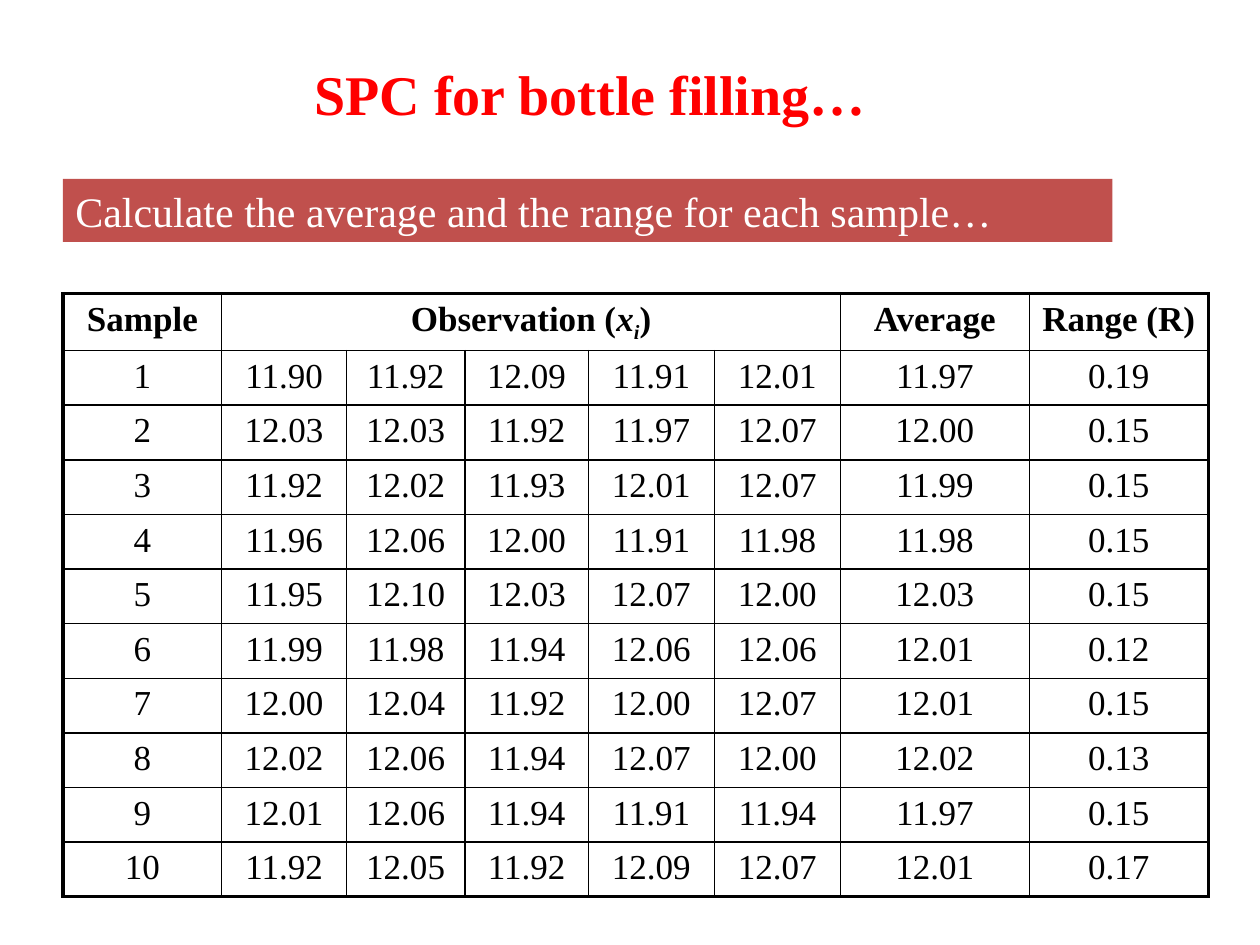
from lxml.etree import SubElement
from pptx import Presentation
from pptx.dml.color import RGBColor
from pptx.enum.shapes import MSO_SHAPE
from pptx.enum.text import MSO_ANCHOR, MSO_AUTO_SIZE, PP_ALIGN
from pptx.oxml.ns import qn
from pptx.util import Inches, Pt

# Content
TITLE = " SPC for bottle filling…"
TASK = "Calculate the average and the range for each sample…"
# Column number -> runs of (text, extra format, baseline)
HEADS = {
    0: [("Sample", {}, 0)],
    1: [("Observation (", {}, 0), ("x", {"italic": True}, 0),
        ("i", {"italic": True}, -25000), (")", {}, 0)],
    6: [("Average", {}, 0)],
    7: [("Range (R)", {}, 0)],
}
# Five observations, average, range
ROWS = [
    ("11.90", "11.92", "12.09", "11.91", "12.01", "11.97", "0.19"),
    ("12.03", "12.03", "11.92", "11.97", "12.07", "12.00", "0.15"),
    ("11.92", "12.02", "11.93", "12.01", "12.07", "11.99", "0.15"),
    ("11.96", "12.06", "12.00", "11.91", "11.98", "11.98", "0.15"),
    ("11.95", "12.10", "12.03", "12.07", "12.00", "12.03", "0.15"),
    ("11.99", "11.98", "11.94", "12.06", "12.06", "12.01", "0.12"),
    ("12.00", "12.04", "11.92", "12.00", "12.07", "12.01", "0.15"),
    ("12.02", "12.06", "11.94", "12.07", "12.00", "12.02", "0.13"),
    ("12.01", "12.06", "11.94", "11.91", "11.94", "11.97", "0.15"),
    ("11.92", "12.05", "11.92", "12.09", "12.07", "12.01", "0.17"),
]
WIDTHS = [1.26, 0.99, 0.94, 0.98, 1, 1, 1.5, 1.42]
HIGH = 4.77

# Formats
FACE = "Times New Roman"
HEAD = {"name": FACE, "size": Pt(32), "bold": True}
NOTE = {"name": FACE, "size": Pt(24)}
CELL = {"name": FACE, "size": Pt(20), "bold": False}
THIN, THICK = Pt(1), Pt(2.25)


def paint(target, code):
    target.rgb = RGBColor.from_string(code)


def write(para, text, form, code, base=0):
    run = para.add_run()
    run.text = text
    for name, value in form.items():
        setattr(run.font, name, value)
    paint(run.font.color, code)
    if base:
        run._r.get_or_add_rPr().set("baseline", str(base))


def edge(cell, sides):
    props = cell._tc.get_or_add_tcPr()
    for spot, (side, width) in enumerate(sides.items()):
        line = SubElement(props, qn("a:ln" + side), w=str(width))
        fill = SubElement(line, qn("a:solidFill"))
        SubElement(fill, qn("a:srgbClr"), val="000000")
        props.insert(spot, line)


def main():
    deck = Presentation()
    deck.slide_width, deck.slide_height = Inches(10), Inches(7.5)
    slide = deck.slides.add_slide(deck.slide_layouts[5])

    # Title
    title = slide.shapes.title
    title.left, title.top = Inches(0.42), Inches(0.42)
    title.width, title.height = Inches(8.42), Inches(0.63)
    frame = title.text_frame
    frame.auto_size = MSO_AUTO_SIZE.NONE
    frame.vertical_anchor = MSO_ANCHOR.TOP
    para = frame.paragraphs[0]
    para.alignment, para.space_before = PP_ALIGN.CENTER, Pt(3)
    write(para, TITLE, HEAD, "FF0000")

    # Table
    last, end = len(ROWS), len(WIDTHS) - 1
    table = slide.shapes.add_table(
        last + 1, end + 1, Inches(0.5), Inches(2.33),
        Inches(sum(WIDTHS)), Inches(HIGH)).table
    table.first_row = table.horz_banding = False
    for col, width in zip(table.columns, WIDTHS):
        col.width = Inches(width)
    for row in table.rows:
        row.height = Inches(HIGH / (last + 1))
    table.cell(0, 1).merge(table.cell(0, 5))

    for r in range(last + 1):
        for c in range(end + 1):
            cell = table.cell(r, c)
            cell.fill.background()
            edge(cell, {
                "L": THICK if c == 0 else THIN,
                "R": THICK if c == end else THIN,
                "T": THICK if r == 0 else THIN,
                "B": THICK if r == last else THIN,
            })
            if r == 0:
                runs = HEADS.get(c, [])
            else:
                runs = [((str(r), *ROWS[r - 1])[c], {}, 0)]
            para = cell.text_frame.paragraphs[0]
            para.alignment = PP_ALIGN.CENTER
            for text, extra, base in runs:
                form = {**CELL, "bold": r == 0, **extra}
                write(para, text, form, "000000", base)

    # Task banner
    bar = slide.shapes.add_shape(
        MSO_SHAPE.RECTANGLE, Inches(0.5), Inches(1.42), Inches(8.33), Inches(0.5))
    bar.shadow.inherit = False
    bar.fill.solid()
    paint(bar.fill.fore_color, "C0504D")
    bar.line.fill.background()
    bar.text_frame.word_wrap = True
    bar.text_frame.vertical_anchor = MSO_ANCHOR.TOP
    para = bar.text_frame.paragraphs[0]
    para.alignment, para.space_before = PP_ALIGN.LEFT, Pt(2)
    write(para, TASK, NOTE, "FFFFFF")

    deck.save("out.pptx")


if __name__ == "__main__":
    main()
